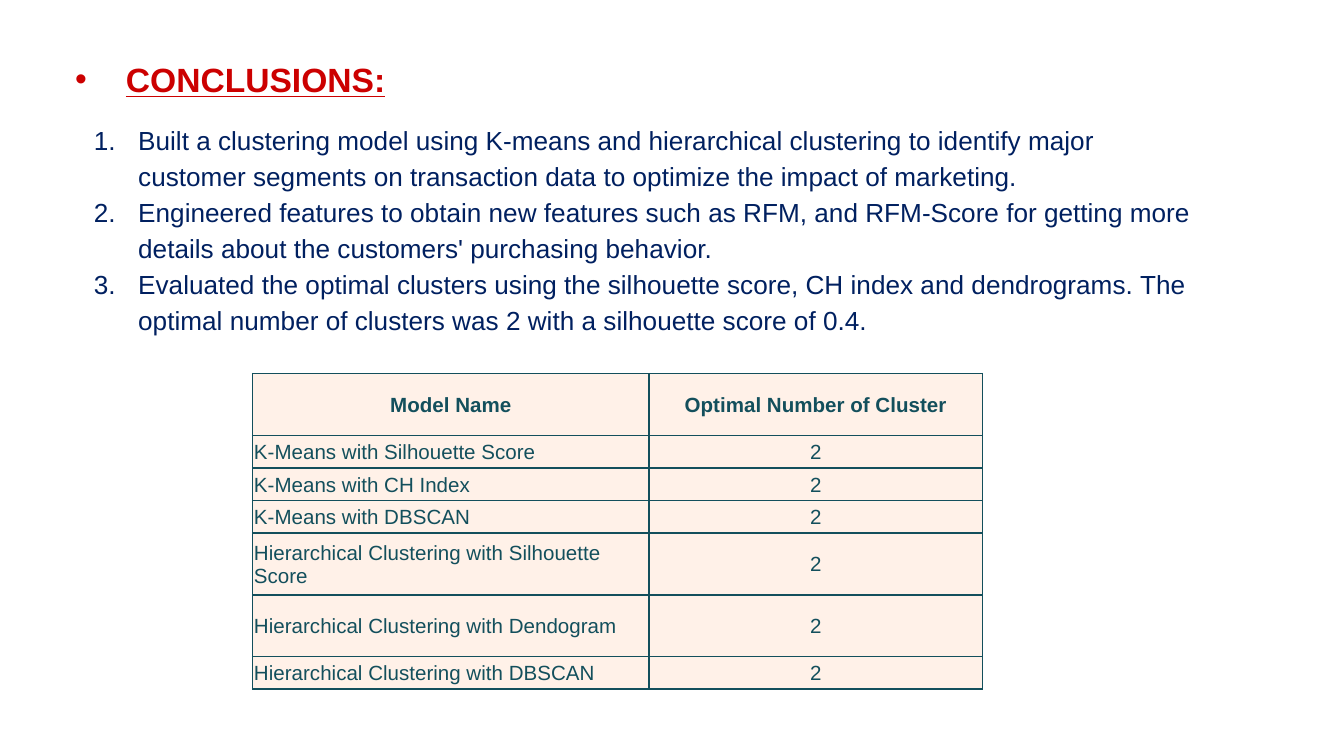
import pptx
import pptx.util
import pptx.dml.color
import pptx.enum.text
import pptx.oxml
import pptx.oxml.ns

Inches = pptx.util.Inches
Pt = pptx.util.Pt
ANCHOR = pptx.enum.text.MSO_ANCHOR
ALIGN = pptx.enum.text.PP_ALIGN
RED, NAVY, TEAL, PEACH = "CC0000", "002060", "134F5C", "FFF1E8"
NS = pptx.oxml.ns.nsdecls("a")
HARD_SPACE = chr(160)


def color(hex_value):
    return pptx.dml.color.RGBColor.from_string(hex_value)


def write(paragraph, text, size, ink, bold=False, underline=None, align=None,
          spacing=None, bullet=None, margin=0, hanging=0):
    run = paragraph.add_run()
    run.text = text
    run.font.name = "Arial"
    run.font.size = Pt(size)
    run.font.color.rgb = color(ink)
    run.font.bold = bold
    run.font.underline = underline
    if align is not None:
        paragraph.alignment = align
    if spacing:
        paragraph.line_spacing = spacing
    if bullet:
        props = paragraph._p.get_or_add_pPr()
        props.set("marL", str(Inches(margin)))
        props.set("indent", str(-Inches(hanging)))
        for xml in (f'<a:buClr {NS}><a:srgbClr val="{ink}"/></a:buClr>',
                    f'<a:buFont {NS} typeface="Arial"/>', f"<a:{bullet[0]} {NS} {bullet[1]}/>"):
            props.append(pptx.oxml.parse_xml(xml))


deck = pptx.Presentation()
deck.slide_width = Inches(10)
deck.slide_height = deck.slide_width * 9 // 16
slide = deck.slides.add_slide(deck.slide_layouts[6])

heading = slide.shapes.add_textbox(Inches(0.46), Inches(0.39), Inches(7.48), Inches(0.45)).text_frame
conclusions = slide.shapes.add_textbox(Inches(0.43), Inches(0.79), Inches(8.88), Inches(4.73)).text_frame
for frame, anchor in ((heading, ANCHOR.BOTTOM), (conclusions, ANCHOR.TOP)):
    frame.word_wrap = True
    frame.vertical_anchor = anchor
    frame.margin_left = frame.margin_right = frame.margin_top = frame.margin_bottom = Inches(0.1)

write(heading.paragraphs[0], " ", 18, RED, bold=True,
      bullet=("buChar", 'char="•"'), margin=0.31, hanging=0.31)
write(heading.paragraphs[0], "CONCLUSIONS:", 18, RED, bold=True, underline=True)

findings = [
    "Built a clustering model using_K-means_and_hierarchical clustering_to identify major "
    "customer_segments_on transaction data to optimize the impact of marketing.",
    "Engineered features to obtain new features such as RFM, and RFM-Score for getting more "
    "details about the customers' purchasing behavior.",
    "Evaluated the optimal clusters using the_silhouette score, CH index_and_dendrograms._The "
    "optimal number of clusters was 2 with a silhouette score of 0.4.",
]
for number, finding in enumerate(findings):
    paragraph = conclusions.add_paragraph() if number else conclusions.paragraphs[0]
    write(paragraph, finding.replace("_", HARD_SPACE), 14, NAVY, spacing=1.15,
          bullet=("buAutoNum", 'type="arabicPeriod"'), margin=0.5, hanging=0.33)

table_height, tall = Inches(2.35), Inches(0.46)
short = (table_height - 3 * tall) // 4
models = [
    ("Model Name", "Optimal Number of Cluster", tall),
    ("K-Means with Silhouette Score", "2", short),
    ("K-Means with CH Index", "2", short),
    ("K-Means with DBSCAN", "2", short),
    ("Hierarchical Clustering with Silhouette Score", "2", tall),
    ("Hierarchical Clustering with Dendogram", "2", tall),
    ("Hierarchical Clustering with DBSCAN", "2", short),
]
clusters = slide.shapes.add_table(len(models), 2, Inches(1.88), Inches(2.78), Inches(5.43), table_height).table
clusters.columns[0].width, clusters.columns[1].width = Inches(2.95), Inches(2.48)
for row, (model, count, height) in enumerate(models):
    clusters.rows[row].height = height
    for column, text in enumerate((model, count)):
        cell = clusters.cell(row, column)
        cell.vertical_anchor = ANCHOR.MIDDLE
        cell.margin_left = cell.margin_right = cell.margin_top = Inches(0.01)
        cell.margin_bottom = 0
        for side in ("lnL", "lnR", "lnT", "lnB"):
            cell._tc.get_or_add_tcPr().append(pptx.oxml.parse_xml(
                f'<a:{side} {NS} w="{Pt(1)}"><a:solidFill><a:srgbClr val="{TEAL}"/></a:solidFill></a:{side}>'))
        cell.fill.solid()
        cell.fill.fore_color.rgb = color(PEACH)
        centred = row == 0 or column == 1
        write(cell.text_frame.paragraphs[0], text, 11, TEAL, bold=row == 0,
              align=ALIGN.CENTER if centred else ALIGN.LEFT)

deck.save("out.pptx")
